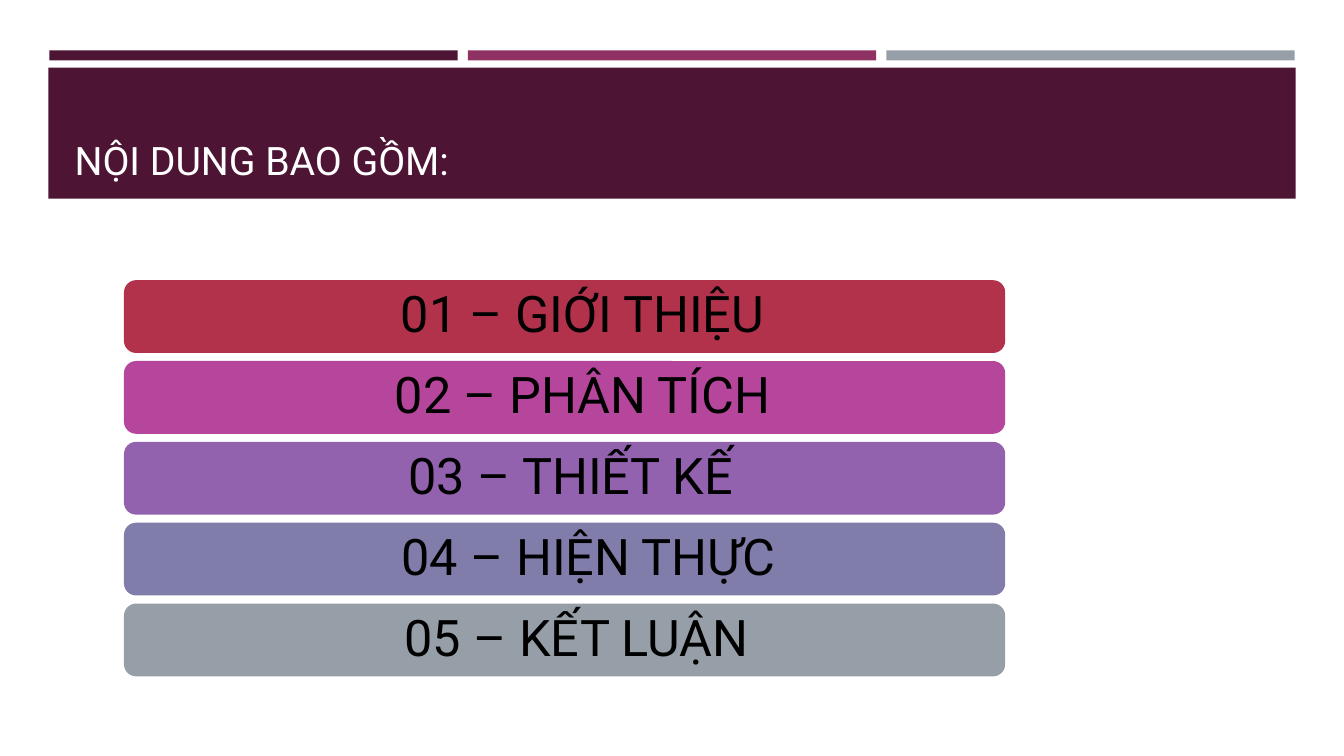
import pptx
import pptx.util
import pptx.dml.color
import pptx.enum.shapes
import pptx.enum.text

Inches, Pt = pptx.util.Inches, pptx.util.Pt
SHAPE = pptx.enum.shapes.MSO_SHAPE
ALIGN = pptx.enum.text.PP_ALIGN
ANCHOR = pptx.enum.text.MSO_ANCHOR

PLUM, BERRY, GREY = "4D1434", "903163", "969FA7"
FONT = "Roboto"
SPACE = 0.12  # unit by which an agenda label shifts to the right
AGENDA = [
    ("01 – GIỚI THIỆU", "B2324B", 3),
    ("02 – PHÂN TÍCH", "B5469C", 3),
    ("03 – THIẾT KẾ", "9362AF", 1),
    ("04 – HIỆN THỰC", "807DAA", 4),
    ("05 – KẾT LUẬN", GREY, 2),
]


def rgb(value):
    return pptx.dml.color.RGBColor.from_string(value)


def add_block(slide, kind, box, color):
    block = slide.shapes.add_shape(kind, *(Inches(n) for n in box))
    block.shadow.inherit = False
    block.fill.solid()
    block.fill.fore_color.rgb = rgb(color)
    block.line.fill.background()
    return block


def write(frame, text, size, color, align, anchor):
    frame.text = text
    frame.word_wrap = True
    frame.auto_size = pptx.enum.text.MSO_AUTO_SIZE.NONE
    frame.vertical_anchor = anchor
    line = frame.paragraphs[0]
    line.alignment = align
    line.line_spacing = 0.9
    font = line.runs[0].font
    font.name, font.size, font.color.rgb = FONT, Pt(size), rgb(color)


def add_stripes(slide, left, top, width, height, gap=0.1):
    colors = (PLUM, BERRY, GREY)
    stripe = (width - gap * (len(colors) - 1)) / len(colors)
    for column, color in enumerate(colors):
        x = left + column * (stripe + gap)
        add_block(slide, SHAPE.RECTANGLE, (x, top, stripe, height), color)


def add_heading(slide, text, left, top, width, height):
    add_block(slide, SHAPE.RECTANGLE, (left, top, width, height), PLUM)
    title = slide.shapes.title
    slide.shapes._spTree.append(title._element)  # bring in front of the band
    title.left, title.top = Inches(left + 0.16), Inches(top + 0.1)
    title.width, title.height = Inches(width - 0.31), Inches(height - 0.19)
    write(title.text_frame, text, 28, "FFFFFF", ALIGN.LEFT, ANCHOR.BOTTOM)


def add_agenda(slide, left, top, width, height, gap=0.08):
    bar_height = (height - gap * (len(AGENDA) - 1)) / len(AGENDA)
    for row, (label, color, shift) in enumerate(AGENDA):
        y = top + row * (bar_height + gap)
        bar = add_block(slide, SHAPE.ROUNDED_RECTANGLE,
                        (left, y, width, bar_height), color)
        frame = bar.text_frame
        write(frame, label, 36, "000000", ALIGN.CENTER, ANCHOR.MIDDLE)
        frame.margin_top = frame.margin_right = frame.margin_bottom = Inches(0.11)
        frame.margin_left = Inches(0.11 + shift * SPACE)


def main():
    deck = pptx.Presentation()
    deck.slide_width, deck.slide_height = Inches(13.33), Inches(7.5)
    slide = deck.slides.add_slide(deck.slide_layouts[5])
    add_stripes(slide, 0.49, 0.5, 12.35, 0.1)
    add_heading(slide, "NỘI DUNG BAO GỒM:", 0.48, 0.67, 12.37, 1.3)
    add_agenda(slide, 1.23, 2.78, 8.74, 3.93)
    deck.save("out.pptx")


if __name__ == "__main__":
    main()
